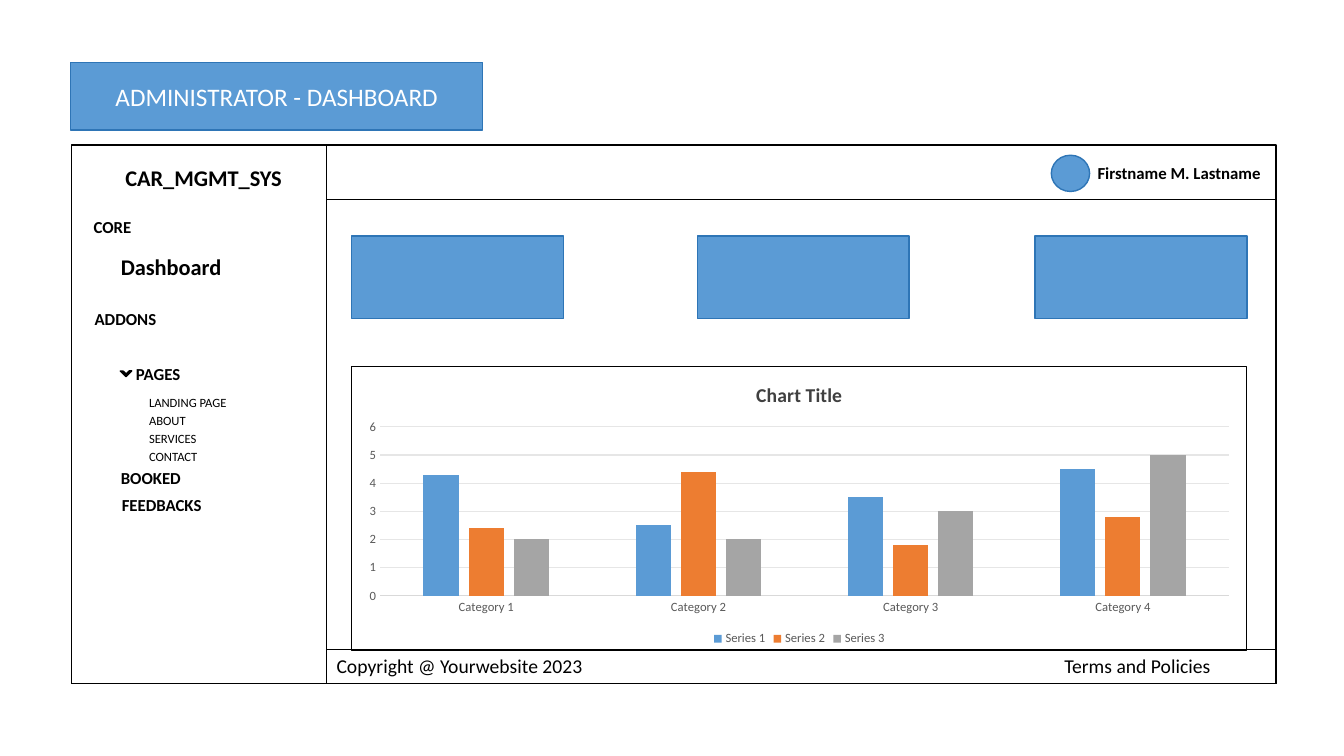
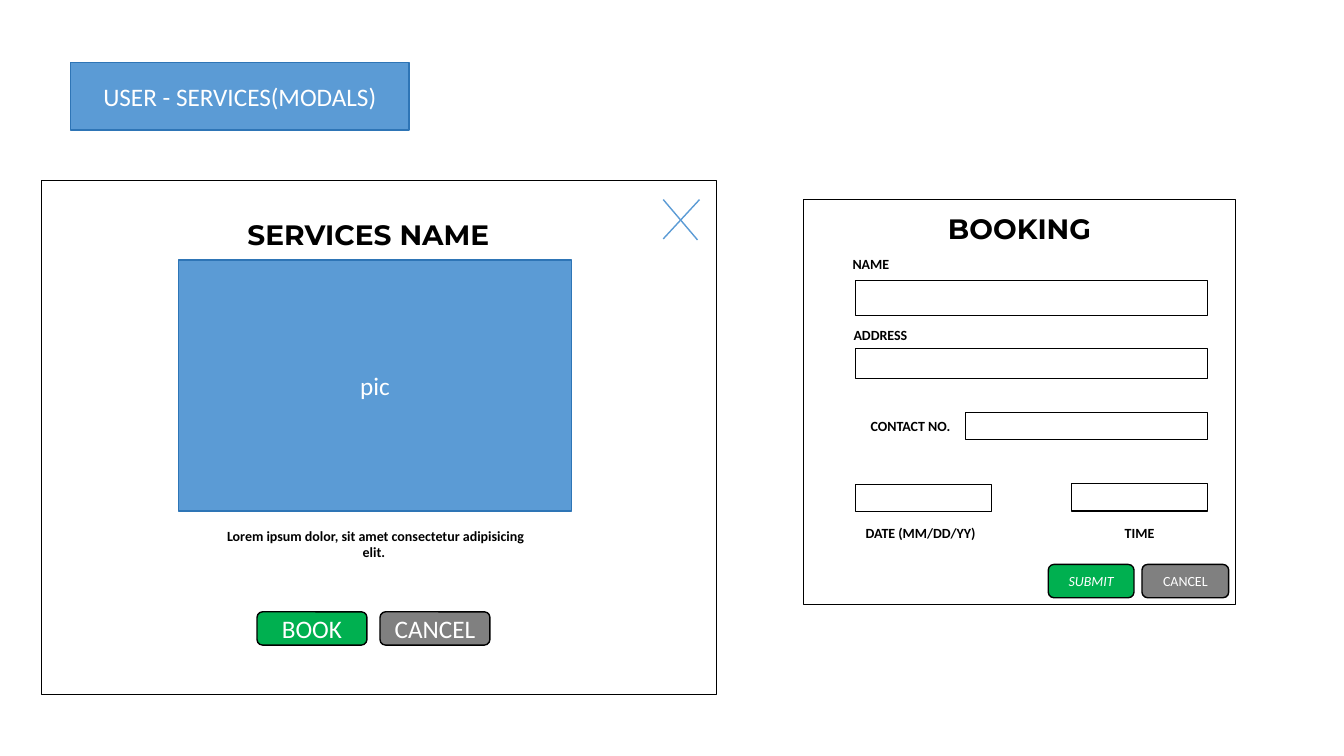
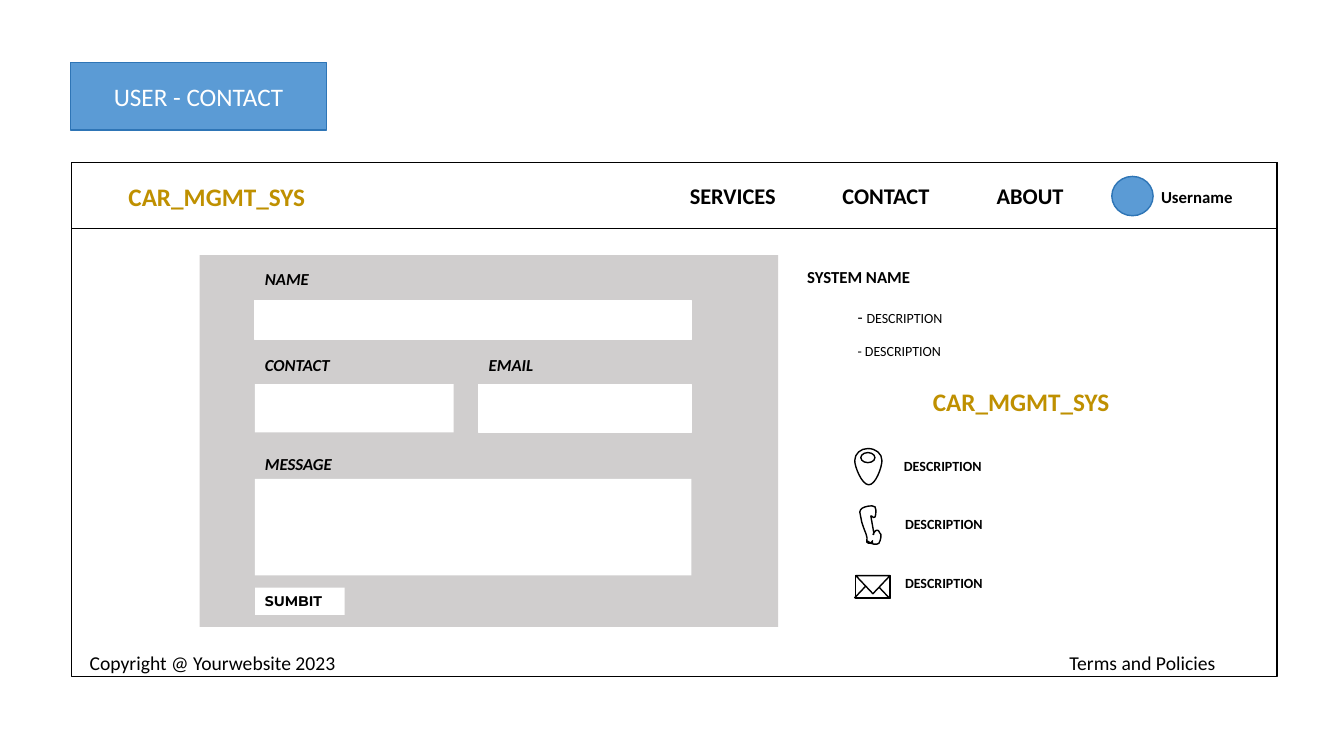
from dataclasses import dataclass
from typing import Any

from lxml import etree
from pptx import Presentation
from pptx.chart.data import CategoryChartData
from pptx.dml.color import RGBColor
from pptx.enum.chart import XL_CHART_TYPE, XL_LEGEND_POSITION, XL_TICK_MARK
from pptx.enum.shapes import MSO_CONNECTOR, MSO_SHAPE
from pptx.enum.text import MSO_ANCHOR, PP_ALIGN
from pptx.oxml.ns import qn
from pptx.util import Pt

PX = 9144
BLACK = RGBColor(0x00, 0x00, 0x00)
WHITE = RGBColor(0xFF, 0xFF, 0xFF)
BLUE = RGBColor(0x5B, 0x9B, 0xD5)
NAVY = RGBColor(0x2E, 0x75, 0xB6)
ORANGE = RGBColor(0xED, 0x7D, 0x31)
SILVER = RGBColor(0xA5, 0xA5, 0xA5)
GREEN = RGBColor(0x00, 0xB0, 0x50)
GRAY = RGBColor(0x80, 0x80, 0x80)
PALE = RGBColor(0xD0, 0xCE, 0xCE)
GOLD = RGBColor(0xBF, 0x90, 0x00)
DARK = RGBColor(0x40, 0x40, 0x40)
SLATE = RGBColor(0x59, 0x59, 0x59)
RULE = RGBColor(0xD9, 0xD9, 0xD9)
GRID = RGBColor(0xE6, 0xE6, 0xE6)

RECT = MSO_SHAPE.RECTANGLE
ROUND = MSO_SHAPE.ROUNDED_RECTANGLE
OVAL = MSO_SHAPE.OVAL
RING = MSO_SHAPE.FLOWCHART_CONNECTOR
HALF = MSO_SHAPE.HALF_FRAME
WEDGE = MSO_SHAPE.ISOSCELES_TRIANGLE
LINE = MSO_CONNECTOR.STRAIGHT
BARS = XL_CHART_TYPE.COLUMN_CLUSTERED
BELOW = XL_LEGEND_POSITION.BOTTOM
NO_TICK = XL_TICK_MARK.NONE
LEFT = PP_ALIGN.LEFT
MID = PP_ALIGN.CENTER
TOP = MSO_ANCHOR.TOP
CENTER = MSO_ANCHOR.MIDDLE

SANS = "Calibri"
MONT = "Montserrat"
SYSTEM = "CAR_MGMT_SYS"

BASE = {"name": SANS, "color": BLACK}
SMALL = {"size": 9}
BOLD10 = {"size": 10, "bold": True}
BOLD12 = {"size": 12, "bold": True}
BOLD16 = {"size": 16, "bold": True}
HEAD = {"size": 20, "bold": True, "name": MONT}
BRAND = {"size": 18, "bold": True, "color": GOLD}
SLANT = {"size": 12, "bold": True, "italic": True}
LIGHT = {"size": 18, "color": WHITE}
AXIS = {"size": 9, "color": SLATE}


def style(font, form):
    for key, val in {**BASE, **form}.items():
        if key == "color":
            font.color.rgb = val
        else:
            setattr(font, key, Pt(val) if key == "size" else val)


def add_run(para, text, form):
    run = para.add_run()
    run.text = text
    style(run.font, form)


def write(shape, text, form, align=LEFT, anchor=TOP):
    frame = shape.text_frame
    frame.word_wrap = True
    frame.vertical_anchor = anchor
    para = frame.paragraphs[0]
    para.alignment = align
    add_run(para, text, form)
    return frame


def footer(shape, stop):
    frame = write(shape, "Copyright @ Yourwebsite 2023\tTerms and Policies", {"size": 14})
    props = frame.paragraphs[0]._p.get_or_add_pPr()
    tabs = etree.SubElement(props, qn("a:tabLst"))
    etree.SubElement(tabs, qn("a:tab"), pos=str(stop * PX), algn="l")


def paint(shape, fill=None, line=None, wt=1):
    shape.shadow.inherit = False
    if fill is None:
        shape.fill.background()
    else:
        shape.fill.solid()
        shape.fill.fore_color.rgb = fill
    if line is None:
        shape.line.fill.background()
    else:
        shape.line.color.rgb = line
        shape.line.width = Pt(wt)
    return shape


@dataclass
class Pane:
    shapes: Any
    x: int
    y: int
    w: int
    h: int

    def sub(self, x, y, w, h):
        return Pane(self.shapes, self.x + x, self.y + y, w, h)

    def place(self, x, y, w, h):
        return [n * PX for n in (self.x + x, self.y + y, w, h)]

    def shape(self, kind, x, y, w, h, fill=None, line=None, wt=1):
        item = self.shapes.add_shape(kind, *self.place(x, y, w, h))
        return paint(item, fill, line, wt)

    def border(self, wt=1):
        return self.shape(RECT, 0, 0, self.w, self.h, line=BLACK, wt=wt)

    def text_box(self, x, y, w, h):
        return self.shapes.add_textbox(*self.place(x, y, w, h))

    def label(self, text, form, x, y, w, h, align=LEFT, anchor=TOP):
        return write(self.text_box(x, y, w, h), text, form, align, anchor)

    def button(self, text, form, fill, x, y, w, h):
        item = self.shape(ROUND, x, y, w, h, fill, BLACK)
        write(item, text, form, MID, CENTER)

    def stroke(self, x1, y1, x2, y2):
        ends = [n * PX for n in (self.x + x1, self.y + y1, self.x + x2, self.y + y2)]
        item = self.shapes.add_connector(LINE, *ends)
        item.line.color.rgb = BLUE
        item.line.width = Pt(1)
        etree.SubElement(item._element.spPr, qn("a:effectLst"))

    def trace(self, start, parts):
        knots = [start] + [part[-1] for part in parts]
        left, top = (min(side) for side in zip(*knots))
        spots = [((self.x + x) * PX, (self.y + y) * PX) for x, y in knots]
        pen = self.shapes.build_freeform(*spots[0])
        pen.add_line_segments(spots[1:], close=True)
        item = paint(pen.convert_to_shape(), line=BLACK)
        for step, part in zip(list(item._element.iter(qn("a:lnTo"))), parts):
            if len(part) == 3:
                step.tag = qn("a:cubicBezTo")
                for n, (x, y) in enumerate(part[:2]):
                    dot = etree.Element(qn("a:pt"), x=str((x - left) * PX), y=str((y - top) * PX))
                    step.insert(n, dot)


def new_page(deck, title, wide):
    slide = deck.slides.add_slide(deck.slide_layouts[6])
    page = Pane(slide.shapes, 0, 0, 1333, 750)
    tag = page.shape(RECT, 70, 62, wide, 67, BLUE, NAVY)
    write(tag, title, LIGHT, MID, CENTER)
    return page


def sidebar(pane):
    pane.border(0.75)
    pane.label(SYSTEM, BOLD16, 12, 14, 238, 37, MID)
    for text, form, x, y, w, h in (
        ("CORE", BOLD12, 12, 66, 83, 36), ("Dashboard", BOLD16, 39, 102, 130, 37),
        ("ADDONS", BOLD12, 13, 157, 83, 36), ("BOOKED", BOLD12, 39, 315, 130, 30),
        ("PAGES", BOLD12, 54, 212, 115, 30), ("FEEDBACKS", BOLD12, 40, 342, 130, 30),
        ("LANDING PAGE", SMALL, 67, 243, 102, 25), ("ABOUT", SMALL, 67, 261, 102, 25),
        ("SERVICES", SMALL, 67, 279, 102, 25), ("CONTACT", SMALL, 67, 296, 102, 25),
    ):
        pane.label(text, form, x, y, w, h)
    mark = pane.shape(HALF, 50, 220, 8, 8, BLACK, BLACK)
    mark.rotation = 224
    mark.adjustments[0], mark.adjustments[1] = 0.24, 0.22


def user_bar(pane):
    pane.border(0.75)
    pane.shape(OVAL, 719, 10, 38, 36, BLUE, NAVY)
    pane.label("Firstname M. Lastname", BOLD12, 755, 13, 187, 30)


def bar_chart(pane):
    pane.border(0.75)
    data = CategoryChartData()
    data.categories = [f"Category {n}" for n in range(1, 5)]
    rows = ((4.3, 2.5, 3.5, 4.5), (2.4, 4.4, 1.8, 2.8), (2, 2, 3, 5))
    for n, row in enumerate(rows, 1):
        data.add_series(f"Series {n}", row)
    chart = pane.shapes.add_chart(BARS, *pane.place(0, 0, pane.w, pane.h), data).chart
    style(chart.font, {"size": 10})
    chart.has_title = True
    head = chart.chart_title.text_frame.paragraphs[0]
    add_run(head, "Chart Title", {"size": 14, "bold": True, "color": DARK})
    chart.has_legend = True
    chart.legend.position = BELOW
    chart.legend.include_in_layout = False
    style(chart.legend.font, AXIS)
    plot = chart.plots[0]
    plot.gap_width, plot.overlap, plot.vary_by_categories = 246, -28, False
    for item, color in zip(plot.series, (BLUE, ORANGE, SILVER)):
        item.format.fill.solid()
        item.format.fill.fore_color.rgb = color
    cats, vals = chart.category_axis, chart.value_axis
    for axis in (cats, vals):
        axis.major_tick_mark = axis.minor_tick_mark = NO_TICK
        style(axis.tick_labels.font, AXIS)
    vals.minimum_scale, vals.maximum_scale, vals.major_unit = 0, 6, 1
    vals.format.line.fill.background()
    for line, color in ((cats.format.line, RULE), (vals.major_gridlines.format.line, GRID)):
        line.color.rgb = color
        line.width = Pt(0.75)


def dashboard(pane):
    pane.border()
    sidebar(pane.sub(0, 0, 253, 534))
    user_bar(pane.sub(253, 0, 942, 54))
    footer(pane.sub(253, 500, 942, 34).border(0.75), 722)
    for x in (278, 621, 956):
        pane.shape(RECT, x, 90, 210, 82, BLUE, NAVY)
    bar_chart(pane.sub(278, 220, 888, 281))


def service(pane):
    pane.border()
    pane.label("SERVICES NAME", HEAD, 177, 32, 295, 67, MID)
    photo = pane.shape(RECT, 136, 79, 390, 249, BLUE, NAVY)
    write(photo, "pic", LIGHT, MID, CENTER)
    pane.label("Lorem ipsum dolor, sit amet consectetur adipisicing elit. ",
               BOLD10, 163, 339, 337, 24, MID)
    pane.stroke(653, 19, 617, 58)
    pane.stroke(651, 59, 617, 19)
    pane.button("BOOK", LIGHT, GREEN, 214, 428, 109, 33)
    pane.button("CANCEL", LIGHT, GRAY, 336, 428, 109, 33)


def booking(pane):
    pane.border()
    pane.label("BOOKING", HEAD, 101, 7, 227, 67, MID)
    for x, y, w, h in ((52, 80, 349, 35), (52, 148, 349, 30), (161, 211, 240, 27),
                       (52, 283, 135, 27), (266, 282, 135, 27)):
        pane.shape(RECT, x, y, w, h, line=BLACK, wt=0.75)
    for text, x, y, w, h in (("NAME", 39, 51, 113, 29), ("ADDRESS", 40, 121, 133, 27),
                             ("CONTACT NO.", 57, 211, 106, 27)):
        pane.label(text, BOLD10, x, y, w, h)
    for text, x, align in (("DATE (MM/DD/YY)", 52, LEFT), ("TIME", 266, MID)):
        note = pane.shape(RECT, x, 317, 135, 27, line=WHITE, wt=0.75)
        write(note, text, BOLD10, align)
    plain = {"size": 10, "color": WHITE}
    pane.button("SUBMIT", {**plain, "italic": True}, GREEN, 243, 362, 85, 33)
    pane.button("CANCEL", plain, GRAY, 336, 362, 86, 33)


def nav_bar(pane):
    pane.border()
    pane.label(SYSTEM, BRAND, 35, 16, 218, 35, MID, CENTER)
    for text, x in (("SERVICES", 593), ("CONTACT", 745), ("ABOUT", 888)):
        pane.label(text, BOLD16, x, 17, 126, 33, MID, CENTER)
    pane.shape(OVAL, 1032, 14, 41, 39, BLUE, NAVY)
    pane.label("Username", BOLD12, 1071, 19, 115, 30)


def form_box(pane):
    pane.shape(RECT, 0, 0, pane.w, pane.h, PALE)
    for text, x, y, w, h, rise, edge in (
        ("NAME", 55, 45, 433, 39, 36, WHITE), ("CONTACT", 55, 128, 197, 48, 34, None),
        ("EMAIL", 277, 128, 211, 48, 34, WHITE), ("MESSAGE", 55, 222, 433, 96, 30, None),
    ):
        pane.shape(RECT, x, y, w, h, WHITE, edge, 0.75)
        pane.label(text, SLANT, x, y - rise, 113, 30)
    send = pane.shape(RECT, 55, 330, 89, 27, WHITE)
    write(send, "SUMBIT", {**BOLD10, "name": MONT})


def pin(pane):
    pane.trace((0, 12), [((0, 5), (6, 0), (13, 0)), ((21, 0), (27, 5), (27, 12)),
                         ((27, 18), (21, 36), (14, 36)), ((7, 36), (0, 18), (0, 12))])
    pane.shape(RING, 6, 4, 14, 10, line=BLACK)


def phone(pane):
    pane.trace((0, 6), [
        ((1, 2), (3, 2), (5, 1)), ((8, 0), (17, -2), (16, 4)),
        ((16, 19), (11, 7), (11, 10)), ((14, 27),),
        ((14, 30), (12, 27), (14, 27)), ((14, 27), (17, 20), (20, 27)),
        ((22, 27), (21, 34), (19, 37)), ((17, 39), (11, 38), (8, 35)),
        ((7, 36), (12, 38), (13, 37)), ((12, 36),),
        ((14, 31), (12, 40), (7, 36)), ((8, 29), (6, 29), (2, 16)), ((0, 6),),
    ])


def mail(pane):
    pane.border(0.75)
    pane.shape(WEDGE, -1, 4, 34, 18, line=BLACK)
    pane.shape(WEDGE, 0, 0, 34, 18, WHITE, BLACK).rotation = 180


def about(pane):
    frame = pane.label("SYSTEM NAME", BOLD12, 0, 0, 444, 115)
    for size, gap in ((12, 14), (10, 11)):
        para = frame.add_paragraph()
        para.space_before = Pt(gap)
        para._p.get_or_add_pPr().set("marL", str(50 * PX))
        add_run(para, "- ", {"size": size})
        add_run(para, "DESCRIPTION", {"size": 10})
    pane.label(SYSTEM, BRAND, 113, 121, 218, 35, MID, CENTER)
    pin(pane.sub(57, 185, 27, 36))
    phone(pane.sub(62, 242, 20, 38))
    mail(pane.sub(58, 311, 34, 23))
    for x, y, w in ((96, 189, 113), (97, 247, 111), (97, 305, 111)):
        pane.label("DESCRIPTION", BOLD10, x, y, w, 27)


def contact(pane):
    pane.border()
    nav_bar(pane.sub(0, 0, 1196, 66))
    form_box(pane.sub(127, 92, 574, 369))
    about(pane.sub(720, 99, 444, 340))
    footer(pane.text_box(8, 480, 1178, 57), 972)


def main():
    deck = Presentation()
    deck.slide_width, deck.slide_height = 4000 * PX // 3, 750 * PX
    page = new_page(deck, "ADMINISTRATOR - DASHBOARD", 409)
    dashboard(page.sub(71, 144, 1195, 534))
    page = new_page(deck, "USER - SERVICES(MODALS)", 336)
    service(page.sub(41, 179, 670, 510))
    booking(page.sub(797, 198, 429, 402))
    page = new_page(deck, "USER - CONTACT", 254)
    contact(page.sub(71, 161, 1196, 510))
    deck.save("out.pptx")


if __name__ == "__main__":
    main()
